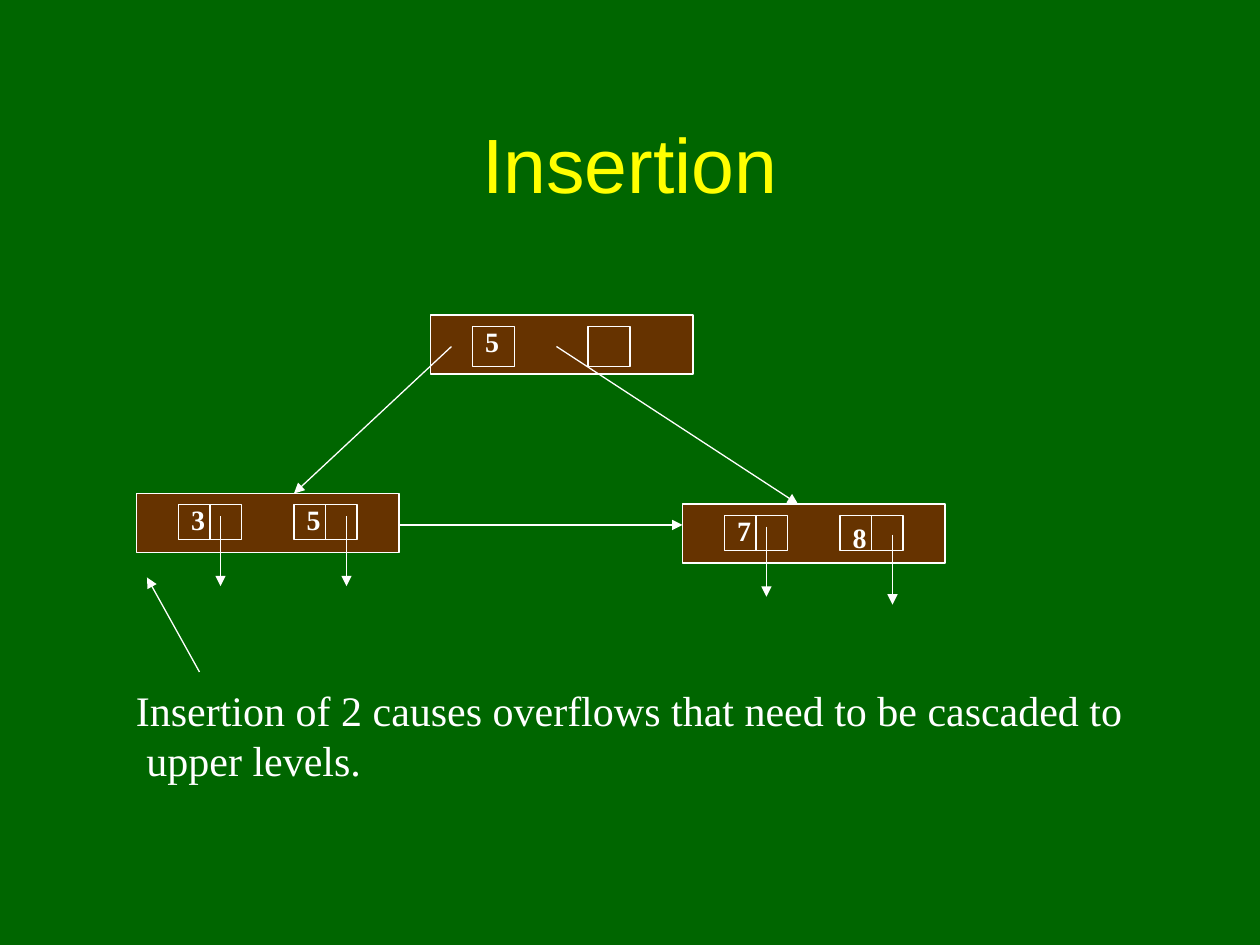
from dataclasses import dataclass

from lxml import etree
from pptx import Presentation
from pptx.dml.color import RGBColor
from pptx.enum.shapes import MSO_CONNECTOR, MSO_SHAPE
from pptx.enum.text import MSO_ANCHOR, MSO_AUTO_SIZE, PP_ALIGN
from pptx.oxml.ns import qn
from pptx.slide import Slide
from pptx.text.text import TextFrame
from pptx.util import Pt

RECT = MSO_SHAPE.RECTANGLE
LINE = MSO_CONNECTOR.STRAIGHT
LEFT, MID = PP_ALIGN.LEFT, PP_ALIGN.CENTER
TOP, CENTER = MSO_ANCHOR.TOP, MSO_ANCHOR.MIDDLE
NO_FIT = MSO_AUTO_SIZE.NONE
TITLE_ONLY = 5


@dataclass(frozen=True)
class Theme:
    back: RGBColor = RGBColor(0x00, 0x66, 0x00)
    node: RGBColor = RGBColor(0x66, 0x33, 0x00)
    ink: RGBColor = RGBColor(0xFF, 0xFF, 0xFF)
    head: RGBColor = RGBColor(0xFF, 0xFF, 0x00)
    sans: str = "Arial"
    serif: str = "Times New Roman"
    title: int = 44
    note: int = 24
    key: int = 16
    rule: float = 0.75


@dataclass(frozen=True)
class Cell:
    key: str
    dx: float
    point: float = 0
    drop: float = 0


@dataclass(frozen=True)
class Node:
    x: float
    y: float
    cells: tuple[Cell, ...]
    wide: float
    high: float
    leaf: bool = True


@dataclass(frozen=True)
class Arrow:
    x1: float
    y1: float
    x2: float
    y2: float


THEME = Theme()
NODE_W, NODE_H = 150, 33.8
CELL_DY = 6.5
KEY_W, KEY_H, KEY_DY = 22.3, 26.6, -5
POINT_DY, POINT_LEN = 6.5, 40

NODES = (
    Node(78, 282, (Cell("3", 24, 24), Cell("5", 90, 30)), 36, 20),
    Node(246, 180, (Cell("5", 24), Cell("", 90)), 24, 23.2, leaf=False),
    Node(390, 288, (Cell("7", 24, 24), Cell("8", 90, 30, 4.5)), 36, 20),
)
ARROWS = (
    Arrow(258, 198, 168, 282),
    Arrow(318, 198, 456, 288),
    Arrow(228, 300, 390, 300),
    Arrow(114, 384, 84, 330),
)
NOTE = ("Insertion of 2 causes overflows that need to be cascaded to",
        " upper levels.")


def put(item: object, form: dict[str, object]) -> None:
    for name, value in form.items():
        setattr(item, name, value)


def write(frame: TextFrame, lines: tuple[str, ...], size: int, face: str,
          color: RGBColor, align: PP_ALIGN, anchor: MSO_ANCHOR,
          wrap: bool = False, bold: bool = False) -> None:
    put(frame, {
        "auto_size": NO_FIT, "word_wrap": wrap, "vertical_anchor": anchor,
        "margin_left": Pt(7.2), "margin_right": Pt(7.2),
        "margin_top": Pt(3.6), "margin_bottom": Pt(3.6),
    })
    for i, line in enumerate(lines):
        para = frame.add_paragraph() if i else frame.paragraphs[0]
        para.alignment = align
        run = para.add_run()
        run.text = line
        put(run.font, {"size": Pt(size), "name": face, "bold": bold})
        run.font.color.rgb = color


def box(slide: Slide, x: float, y: float, w: float, h: float,
        fill: RGBColor | None = None) -> None:
    shape = slide.shapes.add_shape(RECT, Pt(x), Pt(y), Pt(w), Pt(h))
    shape.shadow.inherit = False
    if fill is None:
        shape.fill.background()
    else:
        shape.fill.solid()
        shape.fill.fore_color.rgb = fill
    shape.line.color.rgb = THEME.ink
    shape.line.width = Pt(THEME.rule)


def rule(slide: Slide, span: Arrow, head: bool = True) -> None:
    ends = map(Pt, (span.x1, span.y1, span.x2, span.y2))
    line = slide.shapes.add_connector(LINE, *ends)
    line.line.color.rgb = THEME.ink
    line.line.width = Pt(THEME.rule)
    if head:
        etree.SubElement(line.line._get_or_add_ln(), qn("a:tailEnd"),
                         type="triangle")
    etree.SubElement(line._element.spPr, qn("a:effectLst"))


def draw_cell(slide: Slide, node: Node, cell: Cell) -> None:
    x, y = node.x + cell.dx, node.y + CELL_DY
    box(slide, x, y, node.wide, node.high)
    if cell.key:
        label = slide.shapes.add_textbox(
            Pt(x), Pt(y + KEY_DY + cell.drop), Pt(KEY_W), Pt(KEY_H))
        write(label.text_frame, (cell.key,), THEME.key, THEME.serif,
              THEME.ink, MID, CENTER, bold=True)
    if node.leaf:
        half = x + node.wide / 2
        rule(slide, Arrow(half, y, half, y + node.high), head=False)
        px, py = x + cell.point, y + POINT_DY + cell.drop
        rule(slide, Arrow(px, py, px, py + POINT_LEN))


def draw_node(slide: Slide, node: Node) -> None:
    box(slide, node.x, node.y, NODE_W, NODE_H, THEME.node)
    for cell in node.cells:
        draw_cell(slide, node, cell)


def main() -> None:
    deck = Presentation()
    put(deck, {"slide_width": Pt(720), "slide_height": Pt(540)})
    slide = deck.slides.add_slide(deck.slide_layouts[TITLE_ONLY])
    slide.background.fill.solid()
    slide.background.fill.fore_color.rgb = THEME.back

    title = slide.shapes.title
    put(title, {"left": Pt(54), "top": Pt(48),
                "width": Pt(612), "height": Pt(90)})
    write(title.text_frame, ("Insertion",), THEME.title, THEME.sans,
          THEME.head, MID, CENTER, wrap=True)

    for node in NODES:
        draw_node(slide, node)
    for arrow in ARROWS:
        rule(slide, arrow)

    note = slide.shapes.add_textbox(Pt(70.6), Pt(387.4), Pt(584), Pt(65))
    write(note.text_frame, NOTE, THEME.note, THEME.serif, THEME.ink,
          LEFT, TOP)
    deck.save("out.pptx")


if __name__ == "__main__":
    main()
